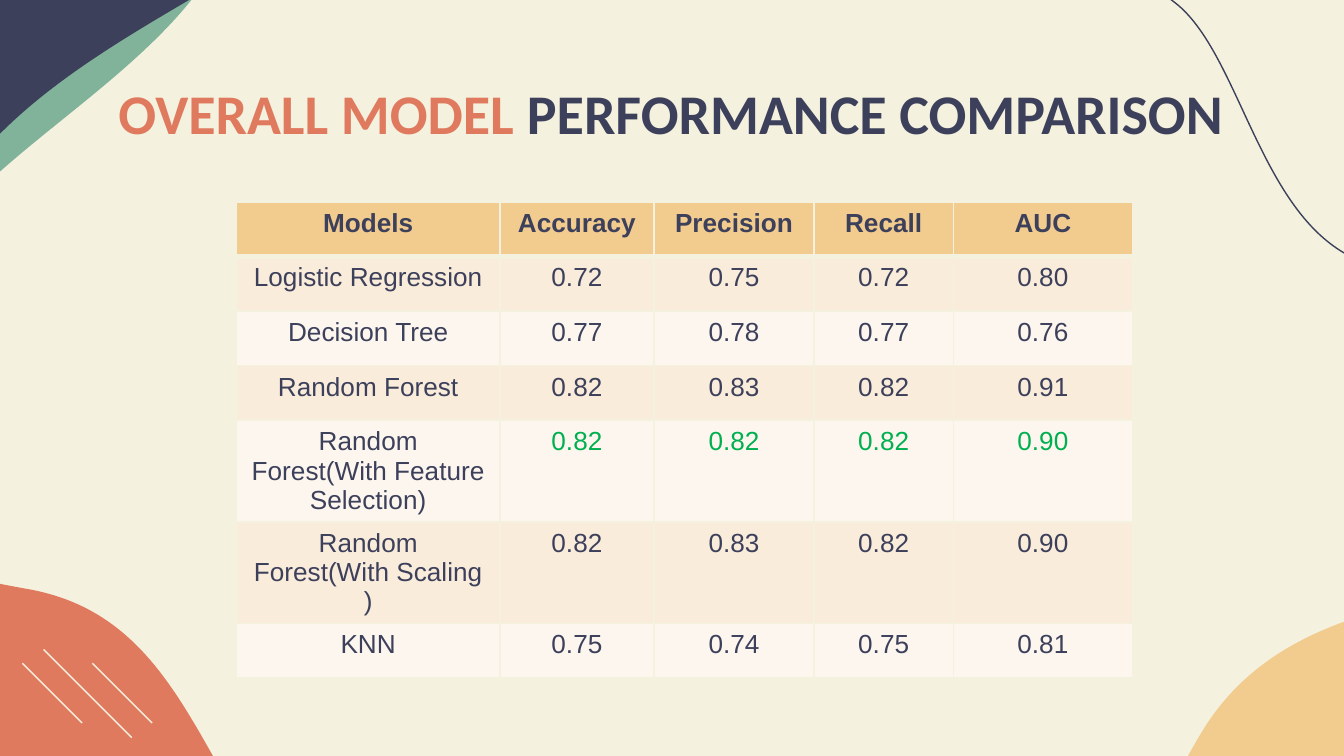
from lxml import etree
from pptx import Presentation
from pptx.dml.color import RGBColor
from pptx.enum.shapes import MSO_CONNECTOR
from pptx.enum.text import MSO_ANCHOR, MSO_AUTO_SIZE, PP_ALIGN
from pptx.oxml.ns import qn
from pptx.util import Pt

STRAIGHT = MSO_CONNECTOR.STRAIGHT
TOP = MSO_ANCHOR.TOP
NO_FIT = MSO_AUTO_SIZE.NONE
LEFT, CENTER = PP_ALIGN.LEFT, PP_ALIGN.CENTER

CREAM = RGBColor(0xF4, 0xF1, 0xDE)
NAVY = RGBColor(0x3D, 0x40, 0x5B)
CORAL = RGBColor(0xE0, 0x7A, 0x5F)
SAGE = RGBColor(0x81, 0xB2, 0x9A)
SAND = RGBColor(0xF2, 0xCC, 0x8F)
BAND_DARK = RGBColor(0xFA, 0xEC, 0xDB)
BAND_LIGHT = RGBColor(0xFC, 0xF6, 0xEE)
GREEN = RGBColor(0x00, 0xB0, 0x50)

SLIDE_BOX = (0, 0, 720, 405)
TITLE_BOX = (56.2, 35.1, 621.4, 45.4)
TABLE_BOX = (126.7, 108.2, 480, 244)

COLUMN_WIDTHS = (141.1, 82.6, 85.7, 74.7, 95.9)
ROW_HEIGHT = 29.25
BEST_ROW = 4
NO_BREAK_SPACE = chr(160)
SCORES = (
    ("Models", "Accuracy", "Precision", "Recall", "AUC"),
    ("Logistic Regression", "0.72", "0.75", "0.72", "0.80"),
    ("Decision Tree", "0.77", "0.78", "0.77", "0.76"),
    ("Random Forest", "0.82", "0.83", "0.82", "0.91"),
    ("Random Forest(With Feature Selection)", "0.82", "0.82", "0.82", "0.90"),
    (f"Random Forest(With{NO_BREAK_SPACE}Scaling)", "0.82", "0.83", "0.82", "0.90"),
    ("KNN", "0.75", "0.74", "0.75", "0.81"),
)


def add_text(paragraph, text, size=14, font="Arial", color=NAVY, bold=False, align=CENTER):
    paragraph.alignment = align
    run = paragraph.add_run()
    run.text = text
    run.font.size = Pt(size)
    run.font.name = font
    run.font.bold = bold
    run.font.color.rgb = color


def bend(outline, straight_count):
    """Turn the segments after the straight ones into cubic curves, three points each."""
    segments = list(outline.element.iter(qn("a:lnTo")))[straight_count:]
    for first in range(0, len(segments), 3):
        curve = etree.Element(qn("a:cubicBezTo"))
        segments[first].addprevious(curve)
        for segment in segments[first:first + 3]:
            curve.append(segment[0])
            segment.getparent().remove(segment)


def add_outline(slide, box, corners, curves, fill=None, line=None):
    """Straight corners first, then curves that go on from the last corner."""
    points = corners + [point for curve in curves for point in curve]
    placed = [(Pt(box[0] + x), Pt(box[1] + y)) for x, y in points]
    builder = slide.shapes.build_freeform(*placed[0])
    builder.add_line_segments(placed[1:], close=fill is not None)
    outline = builder.convert_to_shape()
    bend(outline, len(corners) - 1)
    outline.shadow.inherit = False
    if fill is None:
        outline.fill.background()
        outline.line.color.rgb = line
        outline.line.width = Pt(0.75)
    else:
        outline.fill.solid()
        outline.fill.fore_color.rgb = fill
        outline.line.fill.background()


def add_corner_shapes(slide, box):
    # Bottom left
    add_outline(slide, box, [(-98.6, 539.3), (-98.6, 285.1)],
                [((-74.2, 295.2), (-38.2, 306), (13.7, 315.4)),
                 ((124.6, 334.1), (103.7, 475.9), (239, 539.3))], fill=CORAL)
    # Top left, two layers
    add_outline(slide, box, [(-111.6, 73.4), (-51.8, 176.4)],
                [((-50.4, 85.7), (122.4, 41), (131.8, -67))], fill=SAGE)
    add_outline(slide, box, [(226.8, -104.4), (-28.8, -104.4), (-28.8, 108)],
                [((30.2, 10.1), (182.9, -16.6), (226.8, -104.4))], fill=NAVY)
    # Bottom right
    add_outline(slide, box, [(803.5, 575.3), (803.5, 312.5)],
                [((747.4, 324.7), (679.7, 332.6), (643.7, 392.4)),
                 ((589.7, 483.1), (594.7, 533.5), (498.2, 537.8)),
                 ((450, 540), (430.6, 558), (422.6, 575.3))], fill=SAND)
    # Diagonal strokes
    for right, bottom, length in ((70.6, 395.2, 47.2), (44, 387.3, 32), (81.5, 387.3, 32)):
        x, y = box[0] + right, box[1] + bottom
        stroke = slide.shapes.add_connector(
            STRAIGHT, Pt(x), Pt(y), Pt(x - length), Pt(y - length))
        stroke.line.color.rgb = CREAM
        stroke.line.width = Pt(0.75)
        etree.SubElement(stroke.element.spPr, qn("a:effectLst"))
    # Top right curve
    add_outline(slide, box, [(509, -90.7)],
                [((513.4, -81.4), (514.8, -47.5), (535.7, -31.7)),
                 ((555.8, -15.8), (602.6, -23), (632.9, 4.3)),
                 ((663.1, 32.4), (674.6, 105.1), (716.4, 133.2)),
                 ((758.2, 161.3), (855.4, 167), (883.4, 174.2))], line=NAVY)


def place_title(slide, box):
    title = slide.shapes.title
    title.left, title.top, title.width, title.height = map(Pt, box)
    frame = title.text_frame
    frame.word_wrap = True
    frame.auto_size = NO_FIT
    frame.vertical_anchor = TOP
    frame.margin_left = frame.margin_right = Pt(7.2)
    frame.margin_top = frame.margin_bottom = Pt(7.2)
    for text, color in (("OVERALL MODEL ", CORAL), ("PERFORMANCE COMPARISON", NAVY)):
        add_text(frame.paragraphs[0], text, size=30, font="Calibri",
                 color=color, bold=True, align=LEFT)


def set_borders(cell, color, top=1, bottom=1):
    properties = cell._tc.get_or_add_tcPr()
    sides = (("a:lnL", 1), ("a:lnR", 1), ("a:lnT", top), ("a:lnB", bottom))
    for index, (side, width) in enumerate(sides):
        border = etree.Element(qn(side), w=str(Pt(width)))
        solid = etree.SubElement(border, qn("a:solidFill"))
        etree.SubElement(solid, qn("a:srgbClr"), val=str(color))
        properties.insert(index, border)


def add_score_table(slide, box):
    frame = slide.shapes.add_table(len(SCORES), len(COLUMN_WIDTHS), *map(Pt, box))
    table = frame.table
    for column, width in zip(table.columns, COLUMN_WIDTHS):
        column.width = Pt(width)
    for row_index, scores in enumerate(SCORES):
        table.rows[row_index].height = Pt(ROW_HEIGHT)
        header = row_index == 0
        band = SAND if header else (BAND_LIGHT, BAND_DARK)[row_index % 2]
        for column_index, text in enumerate(scores):
            cell = table.cell(row_index, column_index)
            cell.fill.solid()
            cell.fill.fore_color.rgb = band
            set_borders(cell, CREAM, top=3 if row_index == 1 else 1,
                        bottom=3 if header else 1)
            best = row_index == BEST_ROW and column_index > 0
            add_text(cell.text_frame.paragraphs[0], text,
                     color=GREEN if best else NAVY, bold=header)
    frame.height = Pt(box[3])


def main():
    deck = Presentation()
    deck.slide_width, deck.slide_height = Pt(SLIDE_BOX[2]), Pt(SLIDE_BOX[3])
    slide = deck.slides.add_slide(deck.slide_layouts[5])
    slide.background.fill.solid()
    slide.background.fill.fore_color.rgb = CREAM
    add_corner_shapes(slide, SLIDE_BOX)
    place_title(slide, TITLE_BOX)
    add_score_table(slide, TABLE_BOX)
    deck.save("out.pptx")


if __name__ == "__main__":
    main()
